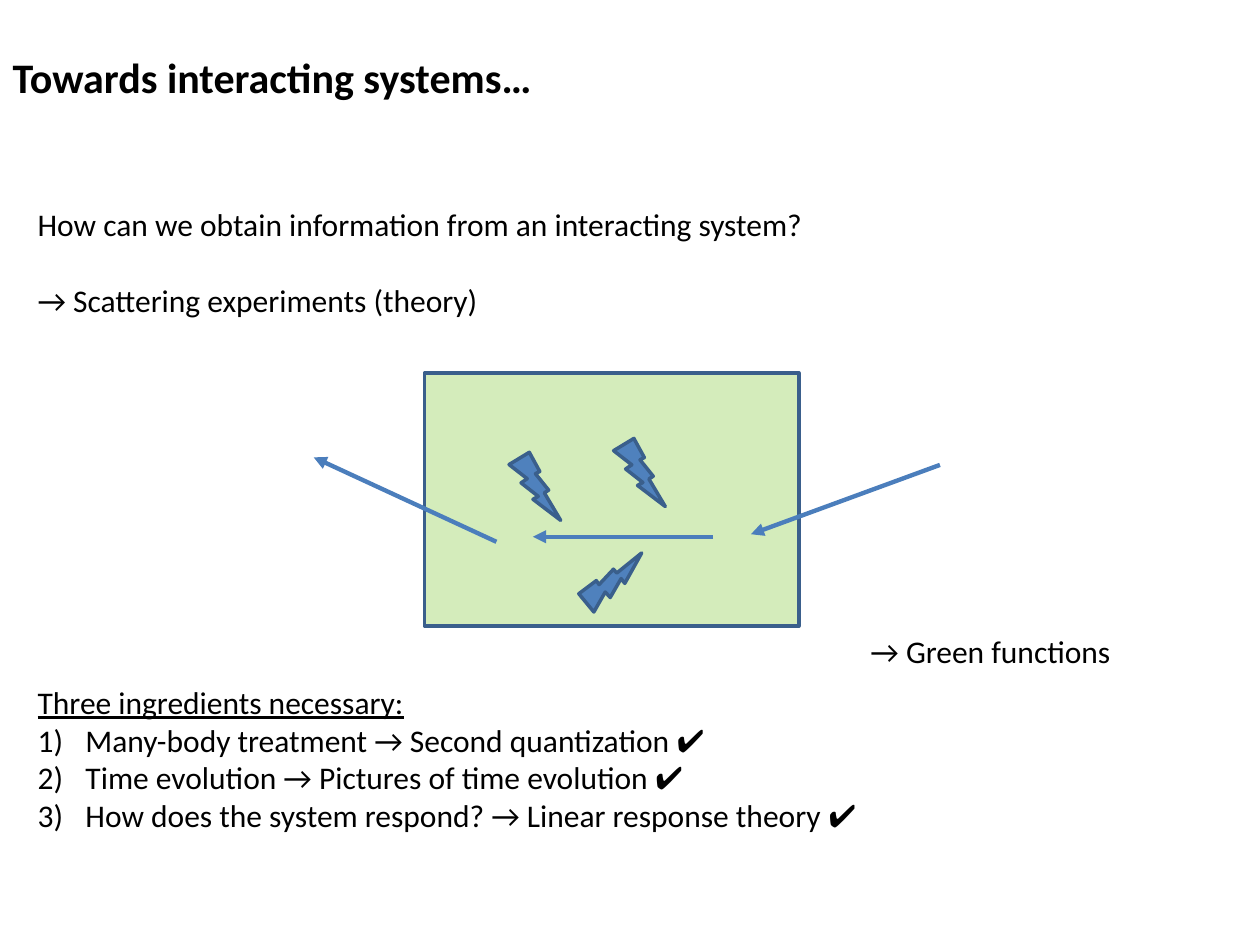
from pptx import Presentation
from pptx.dml.color import RGBColor
from pptx.enum.shapes import MSO_CONNECTOR, MSO_SHAPE
from pptx.enum.text import MSO_ANCHOR, PP_ALIGN
from pptx.oxml.ns import qn
from pptx.util import Inches, Pt
from lxml.etree import SubElement

BLACK = RGBColor(0x00, 0x00, 0x00)
GREEN = RGBColor(0x92, 0xD0, 0x50)
BLUE = RGBColor(0x4F, 0x81, 0xBD)
ARROW_BLUE = RGBColor(0x4B, 0x7E, 0xBC)
OUTLINE_BLUE = RGBColor(0x3A, 0x5F, 0x8C)

BODY_FONT = {"name": "Calibri", "size": Pt(18)}
TITLE_FONT = {"name": "Calibri", "size": Pt(24), "bold": True}
UNDERLINED_FONT = {**BODY_FONT, "underline": True}


def format_font(font, values):
    """Apply a dict of font values in black."""
    for name, value in values.items():
        setattr(font, name, value)
    font.color.rgb = BLACK


def inches(values):
    """Convert a sequence of numbers to lengths."""
    return [Inches(value) for value in values]


def place_title(slide, box, text):
    """Move and format the title placeholder."""
    title = slide.shapes.title
    title.left, title.top, title.width, title.height = inches(box)
    frame = title.text_frame
    frame.text = text
    frame.vertical_anchor = MSO_ANCHOR.MIDDLE
    paragraph = frame.paragraphs[0]
    paragraph.alignment = PP_ALIGN.LEFT
    format_font(paragraph.runs[0].font, TITLE_FONT)


def add_text(slide, box, lines, first_font=BODY_FONT, gap=0, numbered=False):
    """Add a text box whose later lines may be spaced or numbered."""
    frame = slide.shapes.add_textbox(*inches(box)).text_frame
    frame.word_wrap = True
    for index, line in enumerate(lines):
        paragraph = frame.paragraphs[0] if index == 0 else frame.add_paragraph()
        if index and numbered:
            properties = paragraph._p.get_or_add_pPr()
            properties.set("marL", str(Inches(0.38)))
            properties.set("indent", str(-Inches(0.38)))
            SubElement(properties, qn("a:buFont"), typeface="+mj-lt")
            SubElement(properties, qn("a:buAutoNum"), type="arabicParenR")
        if index and gap:
            paragraph.space_before = Pt(gap)
        run = paragraph.add_run()
        run.text = line
        format_font(run.font, BODY_FONT if index else first_font)


def add_outlined_shape(slide, kind, box, color, rotation=0):
    """Add a filled preset shape with a blue outline."""
    shape = slide.shapes.add_shape(kind, *inches(box))
    shape.shadow.inherit = False
    shape.rotation = rotation
    shape.fill.solid()
    shape.fill.fore_color.rgb = color
    shape.line.color.rgb = OUTLINE_BLUE
    shape.line.width = Pt(2)
    return shape


def add_arrow(slide, start, end):
    """Add a straight arrow pointing at its end."""
    connector = slide.shapes.add_connector(
        MSO_CONNECTOR.STRAIGHT, *inches(start), *inches(end))
    connector.line.color.rgb = ARROW_BLUE
    connector.line.width = Pt(2.5)
    SubElement(connector.line._get_or_add_ln(), qn("a:tailEnd"), type="triangle")
    SubElement(connector._element.spPr, qn("a:effectLst"))


def draw_scattering(slide, box):
    """Draw the interacting system with a particle passing through it."""
    left, top, width, height = box
    system = add_outlined_shape(slide, MSO_SHAPE.RECTANGLE, box, GREEN)
    color = system.fill._xPr.find(".//" + qn("a:srgbClr"))
    SubElement(color, qn("a:alpha"), val="39000")
    arrows = [
        ((4.09, 0.73), (2.59, 1.28)),
        ((0.57, 1.34), (-0.88, 0.67)),
        ((2.29, 1.3), (0.86, 1.3)),
    ]
    for start, end in arrows:
        add_arrow(slide, (left + start[0], top + start[1]),
                  (left + end[0], top + end[1]))
    for x, y, rotation in [(0.67, 0.63, 0), (1.5, 0.52, 0), (1.28, 1.4, 261.8)]:
        add_outlined_shape(slide, MSO_SHAPE.LIGHTNING_BOLT,
                           (left + x, top + y, 0.41, 0.54), BLUE, rotation)


def main():
    """Build and save the slide."""
    presentation = Presentation()
    presentation.slide_width = Inches(10)
    presentation.slide_height = Inches(7.5)
    slide = presentation.slides.add_slide(presentation.slide_layouts[5])
    place_title(slide, (0, 0.02, 10, 1.17), "Towards interacting systems…")
    draw_scattering(slide, (3.37, 2.96, 2.97, 2.01))
    add_text(slide, (0.2, 1.58, 6.35, 1.01), [
        "How can we obtain information from an interacting system?",
        "→ Scattering experiments (theory)",
    ], gap=21.5)
    add_text(slide, (0.2, 5.37, 6.82, 1.31), [
        "Three ingredients necessary:",
        "Many-body treatment → Second quantization ✔️",
        "Time evolution → Pictures of time evolution ✔️",
        "How does the system respond? → Linear response theory ✔️",
    ], first_font=UNDERLINED_FONT, numbered=True)
    add_text(slide, (6.81, 4.97, 2.15, 0.4), ["→ Green functions"])
    presentation.save("out.pptx")


if __name__ == "__main__":
    main()
